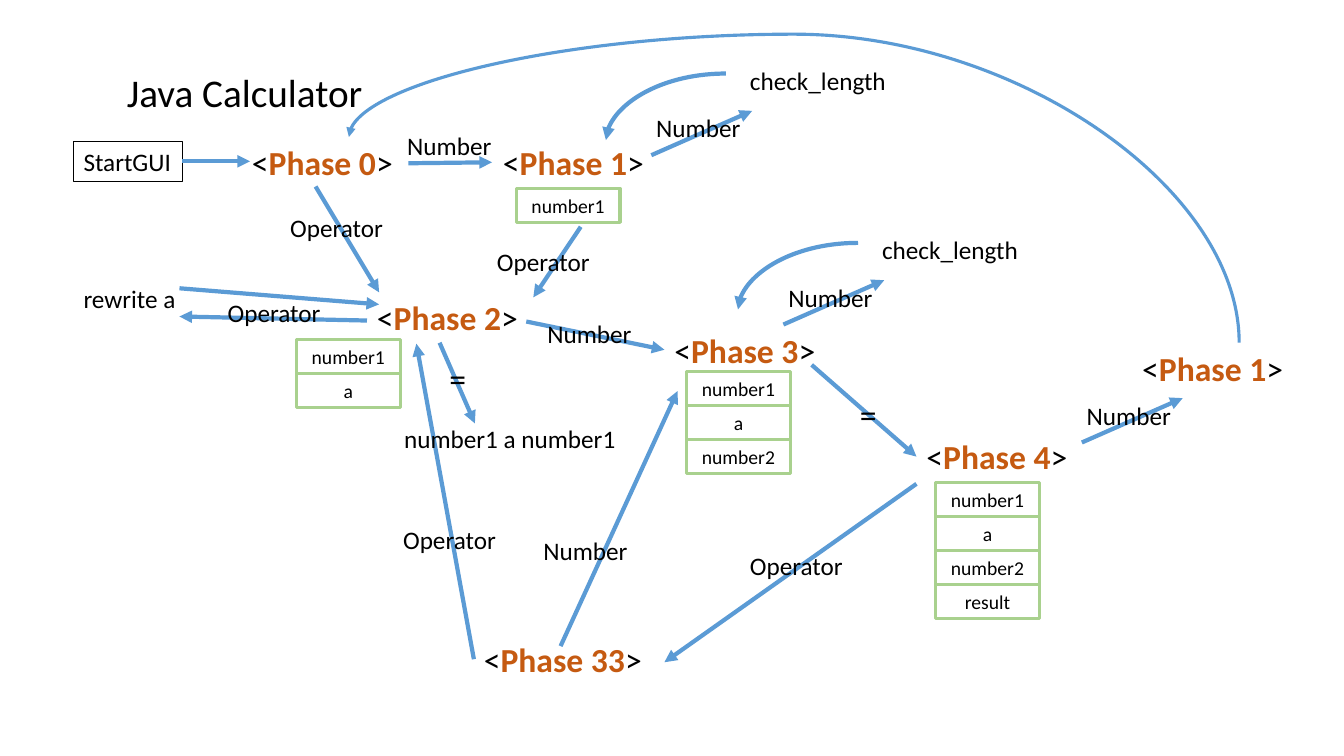
from lxml import etree
from pptx import Presentation
from pptx import util as u
from pptx.dml.color import RGBColor
from pptx.enum import shapes, text
from pptx.oxml.ns import qn

# Grid: every length is in columns and rows of a tenth of an inch
CELL = u.Inches(0.1)
BLACK, BLUE, GREEN, ORANGE = "000000", "5B9BD5", "A9D18E", "C55A11"
FONT = "Calibri"
CURVE = shapes.MSO_CONNECTOR.CURVE
LABEL_W = {"Number": 10.5, "Operator": 11.3, "check_length": 15.7,
           "rewrite a": 11.2, "number1 a number1": 23.2, "=": 3.7}

prs = Presentation()
prs.slide_width, prs.slide_height = u.Inches(13.33), u.Inches(7.5)
s = prs.slides.add_slide(prs.slide_layouts[6])


def grid(*cells):
    return [round(c * CELL) for c in cells]


def rgb(value):
    return RGBColor.from_string(value)


def write(sp, runs, size, wrap=True, align=text.PP_ALIGN.LEFT):
    """Fill a shape with one paragraph of (words, colour, bold) runs."""
    tf = sp.text_frame
    tf.word_wrap = wrap
    tf.auto_size = text.MSO_AUTO_SIZE.SHAPE_TO_FIT_TEXT
    tf.vertical_anchor = text.MSO_ANCHOR.TOP
    p = tf.paragraphs[0]
    p.alignment = align
    p.font.name, p.font.size = FONT, u.Pt(size)
    for words, color, bold in runs:
        r = p.add_run()
        r.text = words
        r.font.color.rgb = rgb(color)
        r.font.bold = bold


def label(words, left, top, size=18, wrap=False, width=None, height=4):
    box = grid(left, top, width or LABEL_W[words], height)
    write(s.shapes.add_textbox(*box), [(words, BLACK, False)], size, wrap)


def framed(words, box, color, weight, size, **style):
    sp = s.shapes.add_shape(shapes.MSO_SHAPE.RECTANGLE, *grid(*box))
    sp.shadow.inherit = False
    sp.fill.background()
    sp.line.color.rgb, sp.line.width = rgb(color), u.Pt(weight)
    write(sp, [(words, BLACK, False)], size, **style)


def arrow(x1, y1, x2, y2, kind=shapes.MSO_CONNECTOR.STRAIGHT, weight=3):
    c = s.shapes.add_connector(kind, *grid(x1, y1, x2, y2))
    c.line.color.rgb, c.line.width = rgb(BLUE), u.Pt(weight)
    etree.SubElement(c.line._get_or_add_ln(), qn("a:tailEnd"), type="triangle")
    etree.SubElement(c._element.spPr, qn("a:effectLst"))
    return c


def phase(box, name, memory=(), dx=0, dy=0):
    """A named phase, with its memory cells stacked at an offset from it."""
    left, top = box[:2]
    write(s.shapes.add_textbox(*grid(*box)),
          [("<", BLACK, False), (name, ORANGE, True), (">", BLACK, False)], 24)
    for row, value in enumerate(memory):
        framed(value, (left + dx, top + dy + row * 3.37, 10.3, 3.37),
               GREEN, 2.25, 14, align=text.PP_ALIGN.CENTER)


def number_step(box):
    """A rising arrow from the lower left of the box, with its label."""
    left, top, width, height = box
    arrow(left + 0.5, top + height, left + width, top + 0.3)
    label("Number", left, top)


def length_check(box):
    """Number goes out to check_length, and a curve leads back."""
    left, top, width, height = box
    number_step((left + 4, top + 4.7, 10.5, height - 4.7))
    label("check_length", left + width - LABEL_W["check_length"], top)
    curve = arrow(left + 11.9, top + 1.3, left, top + 7.9, CURVE)
    curve._element.spPr.find(qn("a:prstGeom")).set("prst", "curvedConnector2")


def return_curve(box, rise):
    """A curve from the lower right of the box, over the top, to its upper left."""
    left, top, width, height = box
    mid_x, mid_y = left + width / 2, top + height / 2
    # The frame is turned a quarter, so its width and height swap
    c = arrow(mid_x - height / 2, mid_y + width / 2,
              mid_x + height / 2, mid_y - width / 2, CURVE, 2.25)
    c._element.spPr.find(qn("a:xfrm")).set("rot", "16200000")
    guides = c._element.spPr.find(qn("a:prstGeom")).get_or_add_avLst()
    etree.SubElement(guides, qn("a:gd"), name="adj1",
                     fmla=f"val {round(rise * 100000)}")


# Title and start
label("Java Calculator", 11.6, 6.3, 28, True, 41.8, 5.7)
framed("StartGUI", (7.3, 14, 10.8, 4), BLACK, 0.75, 18, wrap=False)

# Phases with their memory
for left, top, name, *stack in [
    (24, 13.6, "Phase 0"),
    (48.9, 13.6, "Phase 1", ["number1"], 2.3, 5.1),
    (36.4, 29, "Phase 2", ["number1", "a"], -7, 4.7),
    (65.9, 32.2, "Phase 3", ["number1", "a", "number2"], 2.2, 4.7),
    (90.9, 42.8, "Phase 4", ["number1", "a", "number2", "result"], 1.9, 5.1),
    (47, 62.9, "Phase 33"),
    (112.3, 34, "Phase 1"),
]:
    phase((left, top, 21.2, 5), name, *stack)

# Straight transitions
for ends in [
    (18.1, 16, 24.8, 16),          # start to 0
    (40.5, 16.2, 48.8, 16.1),      # 0 to 1
    (31.3, 18.5, 37.6, 29),        # 0 to 2
    (57.6, 22.5, 52.9, 29.5),      # 1 to 2
    (17.8, 28.6, 37.6, 30.2),      # rewrite to 2
    (36.4, 31.8, 17.8, 31.4),      # 2 to rewrite
    (52.2, 31.9, 65.9, 34.7),      # 2 to 3
    (43.6, 34, 47.1, 42),          # 2 to its result
    (80.5, 36.2, 90.9, 45.3),      # 3 to 4
    (90.9, 48, 65.9, 65.7),        # 4 to 33
    (47, 65.4, 41.3, 34.1),        # 33 to 2
    (55.6, 64.1, 67.2, 38.8),      # 33 to 3
]:
    arrow(*ends)

# Labels on the transitions
for words, spots in {
    "Number": [(39.4, 12.4), (53.3, 31.1), (52.9, 52.6)],
    "Operator": [(27.8, 20.6), (48.3, 23.9), (21.6, 29), (73.4, 54.1), (39, 51.5)],
    "rewrite a": [(7.3, 27.6)],
    "number1 a number1": [(39.1, 41.5)],
}.items():
    for spot in spots:
        label(words, *spot)
label("=", 43.6, 35, 24, height=5)
label("=", 84.3, 38.6, 24, True, 4.7, 5)

# Loops and the way back to the first phase
for corner in [(60.1, 6), (73.2, 22.8)]:
    length_check((*corner, 29, 9.4))
number_step((106.8, 39.2, 10.5, 4.7))
return_curve((34.6, 13.6, 88.3, 20.4), 1.5)

prs.save("out.pptx")
